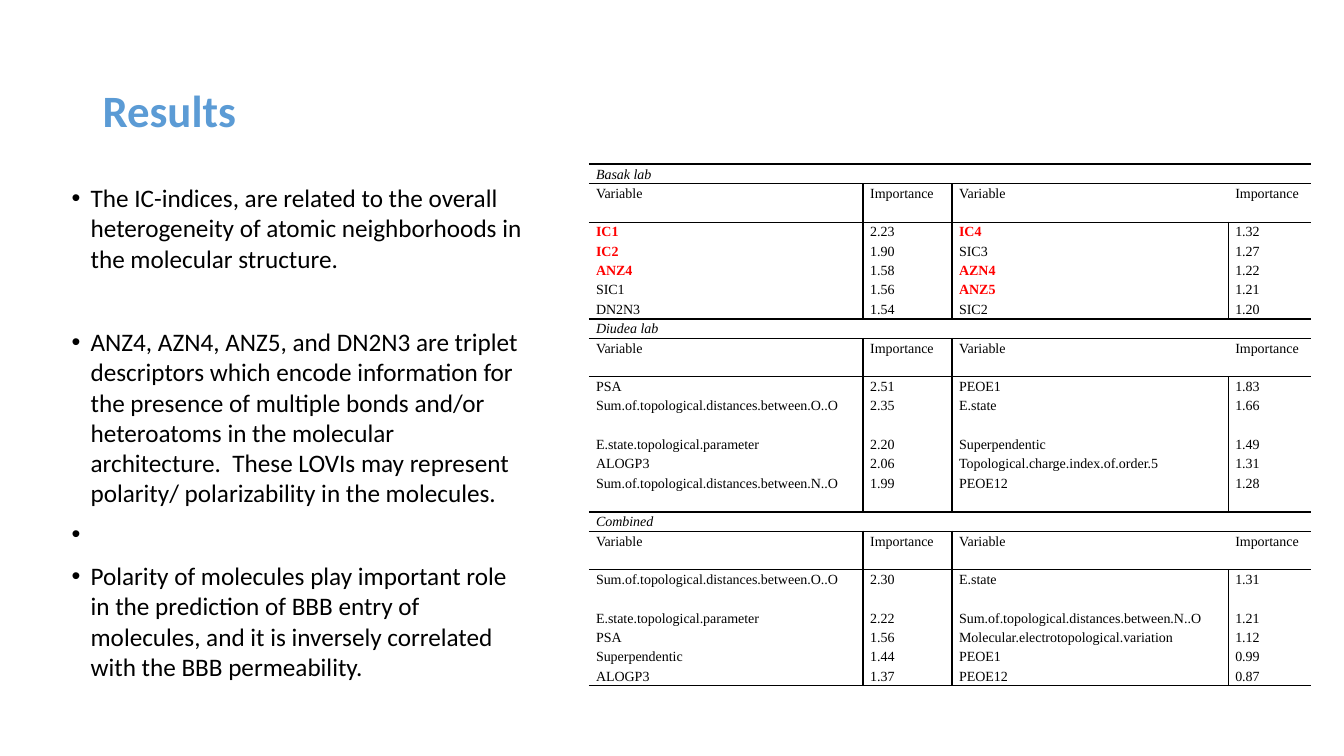
from pptx import Presentation
from pptx.dml.color import RGBColor
from pptx.enum.text import MSO_ANCHOR, MSO_AUTO_SIZE, PP_ALIGN
from pptx.oxml import parse_xml
from pptx.oxml.ns import nsdecls
from pptx.util import Cm, Pt

BLUE = RGBColor(0x5B, 0x9B, 0xD5)
BLACK = RGBColor(0, 0, 0)
RED = RGBColor(0xFF, 0, 0)

HEAD = ("Variable", "Importance", "Variable", "Importance")
SUM_O = "Sum.of.topological.distances.between.O..O"
SUM_N = "Sum.of.topological.distances.between.N..O"
LABS = [
    ("Basak lab", [
        ("IC1", "2.23", "IC4", "1.32"),
        ("IC2", "1.90", "SIC3", "1.27"),
        ("ANZ4", "1.58", "AZN4", "1.22"),
        ("SIC1", "1.56", "ANZ5", "1.21"),
        ("DN2N3", "1.54", "SIC2", "1.20")]),
    ("Diudea lab", [
        ("PSA", "2.51", "PEOE1", "1.83"),
        (SUM_O, "2.35", "E.state", "1.66"),
        ("E.state.topological.parameter", "2.20", "Superpendentic", "1.49"),
        ("ALOGP3", "2.06", "Topological.charge.index.of.order.5", "1.31"),
        (SUM_N, "1.99", "PEOE12", "1.28")]),
    ("Combined", [
        (SUM_O, "2.30", "E.state", "1.31"),
        ("E.state.topological.parameter", "2.22", SUM_N, "1.21"),
        ("PSA", "1.56", "Molecular.electrotopological.variation", "1.12"),
        ("Superpendentic", "1.44", "PEOE1", "0.99"),
        ("ALOGP3", "1.37", "PEOE12", "0.87")]),
]
KEYS = {"IC1", "IC2", "IC4", "ANZ4", "AZN4", "ANZ5"}
TALL = {1, 8, 10, 13, 15, 16}

# Bullet text and the space after it in points
NOTES = [
    ("The IC-indices, are related to the overall heterogeneity of atomic "
     "neighborhoods in the molecular structure.", 38),
    ("ANZ4, AZN4, ANZ5, and DN2N3 are triplet descriptors which encode "
     "information for the presence of multiple bonds and/or heteroatoms in "
     "the molecular architecture.  These LOVIs may represent polarity/ "
     "polarizability in the molecules.", 8),
    (" ", 8),
    ("Polarity of molecules play important role in the prediction of BBB "
     "entry of molecules, and it is inversely correlated with the BBB "
     "permeability.", 8),
]


def add_run(para, text, font, size, color=BLACK, bold=False, italic=False):
    run = para.add_run()
    run.text = text
    run.font.name = font
    run.font.size = Pt(size)
    run.font.color.rgb = color
    run.font.bold = bold
    run.font.italic = italic


def set_lines(cell, widths):
    # Sides in schema order, width in points, 0 for no line
    props = cell._tc.get_or_add_tcPr()
    for side in "LRTB":
        width = widths.get(side, 0)
        fill = ('<a:solidFill><a:srgbClr val="000000"/></a:solidFill>'
                if width else "<a:noFill/>")
        props.append(parse_xml(
            f'<a:ln{side} {nsdecls("a")} w="{Pt(width)}">{fill}</a:ln{side}>'))


prs = Presentation()
prs.slide_width, prs.slide_height = Cm(33.87), Cm(19.05)
slide = prs.slides.add_slide(prs.slide_layouts[1])

# Title
title = slide.shapes.title
title.left, title.top = Cm(2.33), Cm(1.01)
title.width, title.height = Cm(29.21), Cm(3.68)
title.text_frame.vertical_anchor = MSO_ANCHOR.MIDDLE
para = title.text_frame.paragraphs[0]
para.alignment = PP_ALIGN.LEFT
para.line_spacing = 0.9
add_run(para, "Results", "Calibri", 32, BLUE, bold=True)

# Table of importances
rows = []
for lab, data in LABS:
    rows += [(lab,), HEAD, *data]
grid = slide.shapes.add_table(len(rows), 4, Cm(14.84), Cm(4.14),
                              Cm(18.21), Cm(13.02)).table
grid.first_row = grid.horz_banding = False
style = grid._tbl.tblPr.find("{*}tableStyleId")
style.text = "{2D5ABB26-0587-4C30-8999-92F81FD0307C}"
for col, width in zip(grid.columns, (6.91, 2.24, 6.96, 2.1)):
    col.width = Cm(width)

for r, texts in enumerate(rows):
    grid.rows[r].height = Cm(0.97 if r in TALL else 0.48)
    place = r % 7
    for c in range(4):
        cell = grid.cell(r, c)
        lines = {}
        # Rules above and below the lab name and the heads
        if place < 3:
            lines["T"] = 1.5 if r in (0, 7) else 1
        if place in (0, 1, 6):
            lines["B"] = 1.5 if r == 6 else 1
        # Rules between columns; the heads have none before the last
        if place > 0:
            last = 2 if place == 1 else 3
            lines["L"] = 1 if 0 < c <= last else 0
            lines["R"] = 1 if c < last else 0
        set_lines(cell, lines)
        cell.fill.background()
        cell.margin_left = cell.margin_right = Cm(0.18)
        cell.margin_top = cell.margin_bottom = 0
        if c < len(texts):
            key = texts[c] in KEYS
            para = cell.text_frame.paragraphs[0]
            para.line_spacing = 1.15
            add_run(para, texts[c], "Times New Roman", 10,
                    RED if key else BLACK, bold=key, italic=place == 0)
    if place == 0:
        grid.cell(r, 0).merge(grid.cell(r, 3))

# Bullets
body = slide.placeholders[1]
body.left, body.top = Cm(1.55), Cm(4.47)
body.width, body.height = Cm(12.04), Cm(12.93)
frame = body.text_frame
frame.auto_size = MSO_AUTO_SIZE.SHAPE_TO_FIT_TEXT
for i, (text, gap) in enumerate(NOTES):
    para = frame.add_paragraph() if i else frame.paragraphs[0]
    para.space_before, para.space_after = Pt(0), Pt(gap)
    props = para._p.get_or_add_pPr()
    props.set("marL", str(Cm(0.48)))
    props.set("indent", str(-Cm(0.48)))
    props.append(parse_xml(f'<a:buChar {nsdecls("a")} char="•"/>'))
    add_run(para, text, "Calibri", 18)

prs.save("out.pptx")
